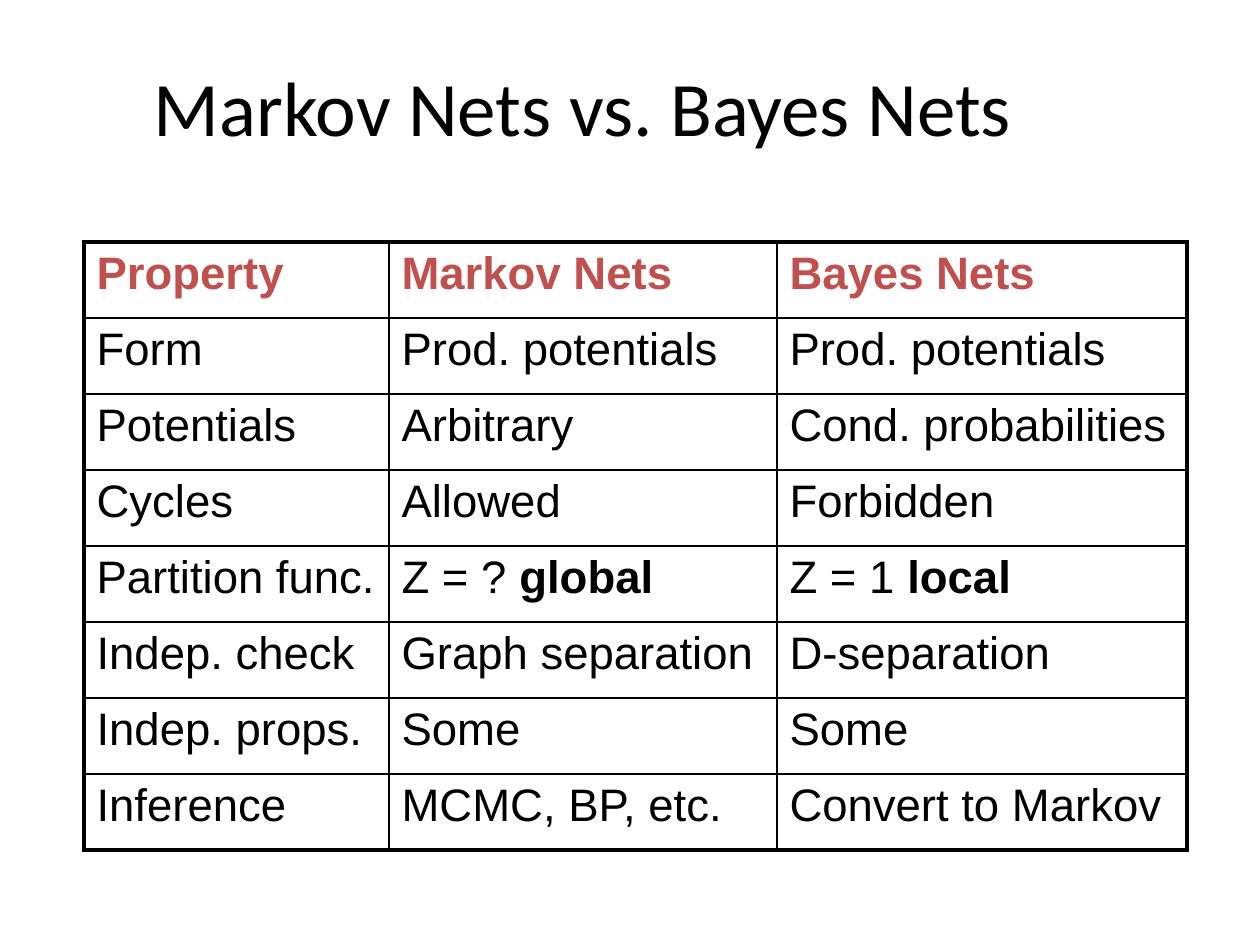
from lxml import etree
from pptx import Presentation, util as u
from pptx.dml.color import RGBColor
from pptx.enum import text
from pptx.oxml.ns import qn

PX = 914400 / 126
COLORS = {"ink": "000000", "heading": "C0504D", "paper": "FFFFFF"}


def px(length):
    return u.Emu(round(length * PX))


def write(paragraph, words, size=26, font="Arial", color="ink", bold=False):
    run = paragraph.add_run()
    run.text = words
    run.font.size = u.Pt(size)
    run.font.name = font
    run.font.bold = bold
    run.font.color.rgb = RGBColor.from_string(COLORS[color])


prs = Presentation()
prs.slide_width, prs.slide_height = px(1260), px(945)
slide = prs.slides.add_slide(prs.slide_layouts[6])

title = slide.shapes.add_textbox(px(63), px(16), px(1040), px(179)).text_frame
title.word_wrap = True
title.vertical_anchor = text.MSO_ANCHOR.MIDDLE
title.paragraphs[0].alignment = text.PP_ALIGN.CENTER
write(title.paragraphs[0], "Markov Nets vs. Bayes Nets", size=44, font="Calibri")

# Each cell is (regular words, bold words)
comparison = [
    [("", "Property"), ("", "Markov Nets"), ("", "Bayes Nets")],
    [("Form", ""), ("Prod. potentials", ""), ("Prod. potentials", "")],
    [("Potentials", ""), ("Arbitrary", ""), ("Cond. probabilities", "")],
    [("Cycles", ""), ("Allowed", ""), ("Forbidden", "")],
    [("Partition func.", ""), ("Z = ? ", "global"), ("Z = 1 ", "local")],
    [("Indep. check", ""), ("Graph separation", ""), ("D-separation", "")],
    [("Indep. props.", ""), ("Some", ""), ("Some", "")],
    [("Inference", ""), ("MCMC, BP, etc.", ""), ("Convert to Markov", "")],
]
column_widths = [305, 388, 410]
row_height = 76
last_row, last_column = len(comparison) - 1, len(column_widths) - 1

table = slide.shapes.add_table(
    len(comparison), len(column_widths), px(84), px(242),
    px(sum(column_widths)), px(row_height * len(comparison))).table
table.first_row = table.horz_banding = False
for column, width in zip(table.columns, column_widths):
    column.width = px(width)

for r, entries in enumerate(comparison):
    table.rows[r].height = px(row_height)
    for c, (regular, bold) in enumerate(entries):
        cell = table.cell(r, c)
        paragraph = cell.text_frame.paragraphs[0]
        spacing = etree.SubElement(paragraph._p.get_or_add_pPr(), qn("a:spcBef"))
        etree.SubElement(spacing, qn("a:spcPct"), val="20000")
        color = "heading" if r == 0 else "ink"
        for words, is_bold in ((regular, False), (bold, True)):
            if words:
                write(paragraph, words, color=color, bold=is_bold)

        # Heavy frame outside, thin rules inside
        outer_edges = {"L": c == 0, "R": c == last_column,
                       "T": r == 0, "B": r == last_row}
        properties = cell._tc.get_or_add_tcPr()
        for side, is_outer in outer_edges.items():
            border = etree.SubElement(properties, qn(f"a:ln{side}"),
                                      w=str(u.Pt(2.25 if is_outer else 1)))
            fill = etree.SubElement(border, qn("a:solidFill"))
            etree.SubElement(fill, qn("a:srgbClr"), val=COLORS["ink"])
        cell.fill.solid()
        cell.fill.fore_color.rgb = RGBColor.from_string(COLORS["paper"])

prs.save("out.pptx")
